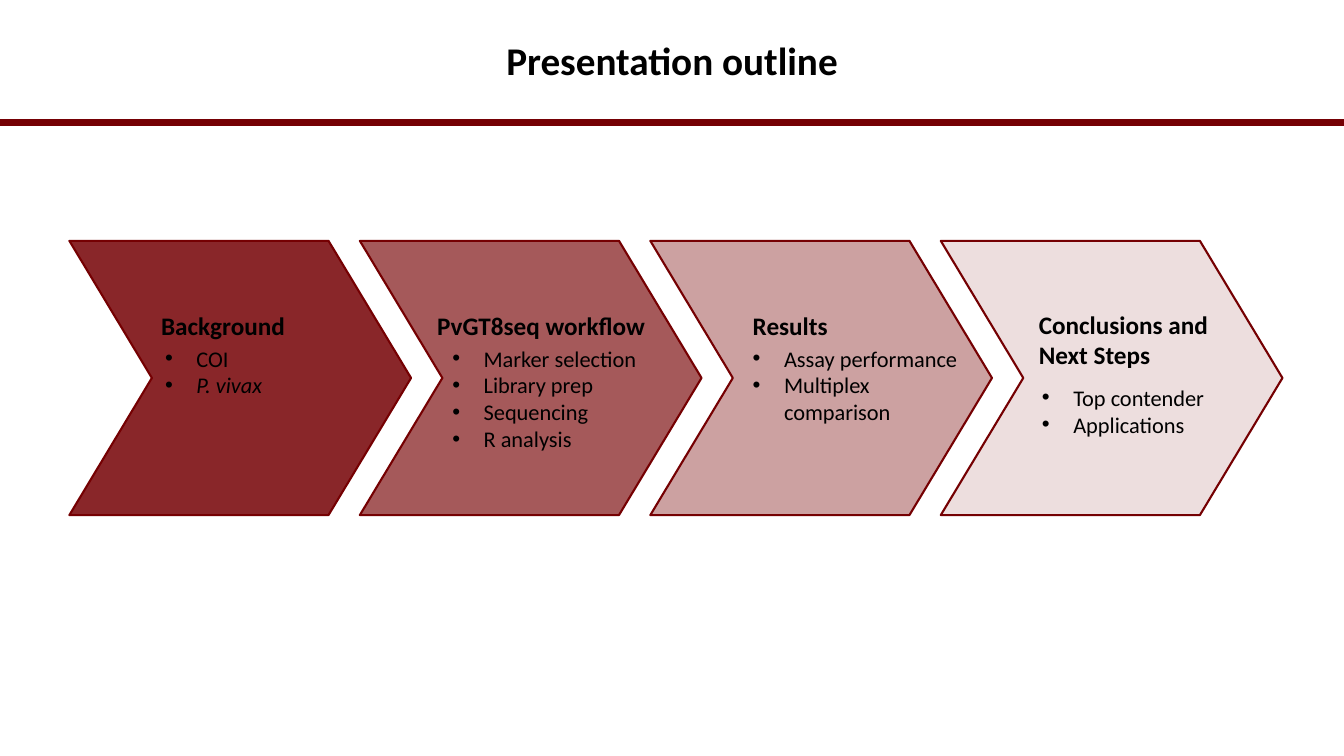
"""Build the presentation outline slide with four chevron stages."""
from lxml import etree
from pptx import Presentation
from pptx.dml.color import RGBColor
from pptx.enum.shapes import MSO_SHAPE
from pptx.enum.text import MSO_ANCHOR, MSO_AUTO_SIZE, PP_ALIGN
from pptx.oxml.ns import qn
from pptx.util import Cm, Pt

RECTANGLE, CHEVRON = MSO_SHAPE.RECTANGLE, MSO_SHAPE.CHEVRON
MIDDLE, CENTER = MSO_ANCHOR.MIDDLE, PP_ALIGN.CENTER
GROW = MSO_AUTO_SIZE.SHAPE_TO_FIT_TEXT

TITLE_FORMAT = {"name": "Calibri", "size": Pt(28), "bold": True}
HEADING_FORMAT = {"name": "Calibri", "size": Pt(18), "bold": True}
ITEM_FORMAT = {"name": "Calibri", "size": Pt(16)}

STAGES = [
    ("Background", (3.81, 7.7, 4.22, 1.02), "750004", 85,
     ["COI", "P. vivax"], (3.91, 8.56, 6.12, 1.63)),
    ("PvGT8seq workflow", (10.77, 7.7, 6.05, 1.02), "750002", 65,
     ["Marker selection", "Library prep", "Sequencing", "R analysis"],
     (11.15, 8.56, 6.12, 3)),
    ("Results", (18.72, 7.7, 4.22, 1.02), "750002", 37,
     ["Assay performance", "Multiplex comparison"], (18.72, 8.56, 5.87, 2.31)),
    ("Conclusions and Next Steps", (25.93, 7.67, 5.08, 1.8), "750002", 13,
     ["Top contender", "Applications"], (26.01, 9.55, 4.67, 1.63)),
]
ITALIC_ITEMS = {"P. vivax"}
CHEVRON_LEFT, CHEVRON_STEP = 1.75, 7.32


def color(value):
    return RGBColor.from_string(value)


def write(paragraph, text, font_format):
    run = paragraph.add_run()
    run.text = text
    run.font.color.rgb = color("000000")
    for name, value in font_format.items():
        setattr(run.font, name, value)


presentation = Presentation()
presentation.slide_width, presentation.slide_height = Cm(33.87), Cm(19.05)
slide = presentation.slides.add_slide(presentation.slide_layouts[5])

title = slide.shapes.title
title.left, title.top, title.width, title.height = Cm(2.33), Cm(0.28), Cm(29.21), Cm(2.62)
title.text_frame.vertical_anchor = MIDDLE
title_paragraph = title.text_frame.paragraphs[0]
title_paragraph.alignment = CENTER
title_paragraph.line_spacing = 0.9
write(title_paragraph, "Presentation outline", TITLE_FORMAT)

shapes = [(RECTANGLE, (0, 3.02, 33.87, 0.13), "750004", "750004", 100)]
for index, (_, _, fill, opacity, _, _) in enumerate(STAGES):
    box = (CHEVRON_LEFT + index * CHEVRON_STEP, 6.07, 8.61, 6.91)
    shapes.append((CHEVRON, box, fill, "750002", opacity))

for kind, box, fill, line, opacity in shapes:
    shape = slide.shapes.add_shape(kind, *map(Cm, box))
    shape.shadow.inherit = False
    shape.fill.solid()
    shape.fill.fore_color.rgb = color(fill)
    shape.line.color.rgb = color(line)
    shape.line.width = Pt(1.5)
    if kind == CHEVRON:
        shape.adjustments[0] = 0.301
        fill_color = shape.element.spPr.find(qn("a:solidFill")).find(qn("a:srgbClr"))
        etree.SubElement(fill_color, qn("a:alpha"), val=str(opacity * 1000))

for heading, heading_box, _, _, items, items_box in STAGES:
    heading_frame = slide.shapes.add_textbox(*map(Cm, heading_box)).text_frame
    heading_frame.word_wrap = True
    heading_frame.auto_size = GROW
    write(heading_frame.paragraphs[0], heading, HEADING_FORMAT)

    items_frame = slide.shapes.add_textbox(*map(Cm, items_box)).text_frame
    items_frame.word_wrap = True
    items_frame.auto_size = GROW
    for index, item in enumerate(items):
        paragraph = items_frame.add_paragraph() if index else items_frame.paragraphs[0]
        properties = paragraph._p.get_or_add_pPr()
        properties.set("marL", str(Cm(0.79)))
        properties.set("indent", str(-Cm(0.79)))
        etree.SubElement(properties, qn("a:buFont"), typeface="Arial")
        etree.SubElement(properties, qn("a:buChar"), char="•")
        write(paragraph, item, {**ITEM_FORMAT, "italic": item in ITALIC_ITEMS})

presentation.save("out.pptx")
